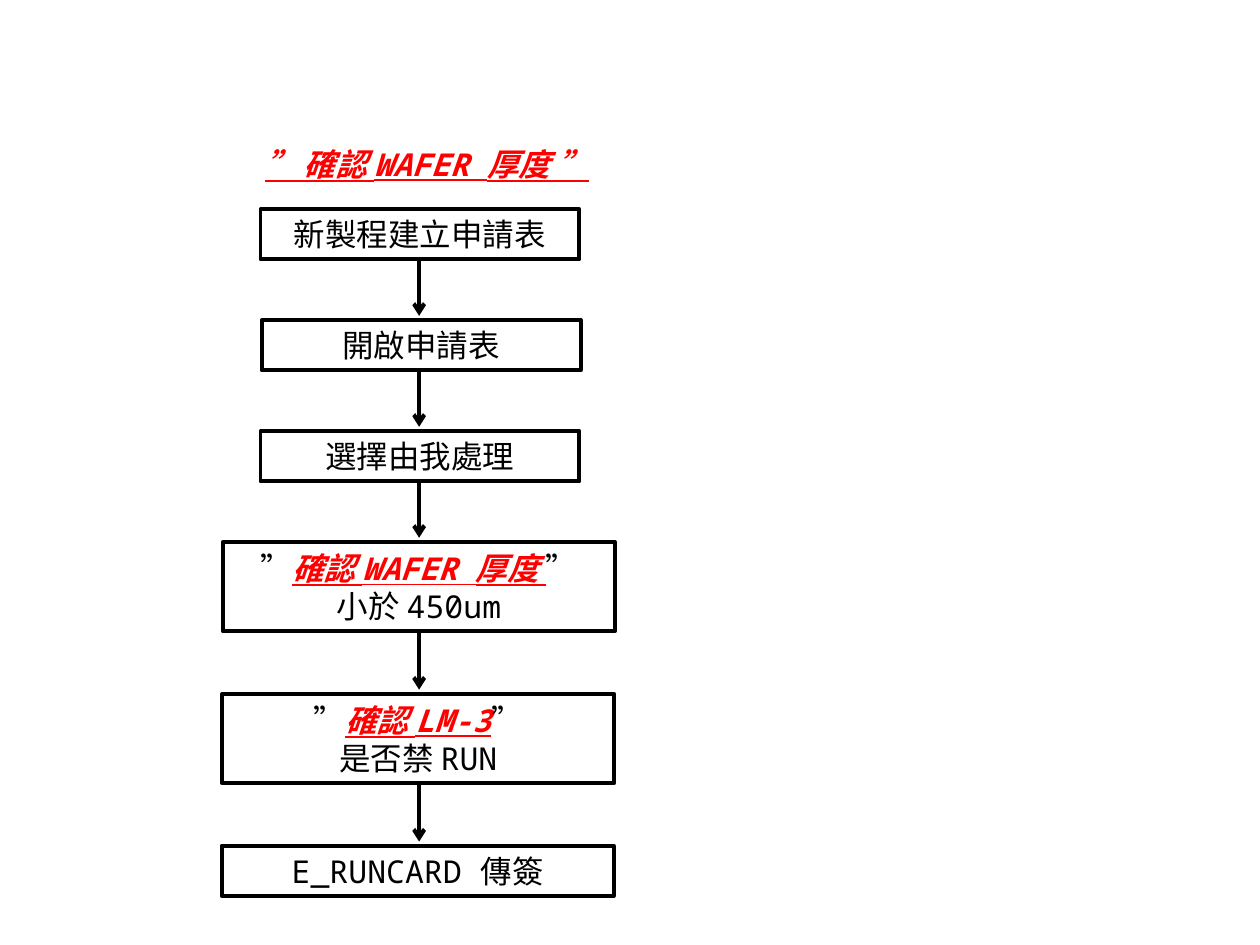
"""Build a flowchart slide for checking wafer thickness in a new process request."""
import lxml.etree
import pptx
import pptx.dml.color
import pptx.enum.shapes
import pptx.enum.text
import pptx.oxml
import pptx.oxml.ns
import pptx.util

Pt = pptx.util.Pt

TITLE = "” 確認 WAFER 厚度 ”"
STEPS = [
    {"center": 240, "width": 182.2, "lines": [["新製程建立申請表"]]},
    {"center": 240.7, "width": 182.2, "lines": [["開啟申請表"]]},
    {"center": 240, "width": 182.2, "lines": [["選擇由我處理"]]},
    {"center": 239.4, "width": 224, "lines": [["”", "確認 WAFER 厚度 ", "”"], ["小於 450um"]]},
    {"center": 239, "width": 224, "lines": [["”", "確認 LM-3", "”"], ["是否禁 RUN"]]},
    {"center": 238.7, "width": 224, "lines": [["E_RUNCARD 傳簽"]]},
]
THEME = {
    "font": "Noto Sans Mono",
    "size": Pt(18),
    "line": Pt(2.25),
    "ink": pptx.dml.color.RGBColor(0, 0, 0),
    "accent": pptx.dml.color.RGBColor(255, 0, 0),
}
FIRST_TOP = 119.5
HEIGHTS = {1: 28.8, 2: 51.1}
PITCHES = {1: 63.4, 2: 86.8}
ARROW_CENTER, ARROW_START, ARROW_END = 239.5, 34.6, 2.4


def style_font(font, color, emphasis=False):
    font.name = THEME["font"]
    font.size = THEME["size"]
    font.color.rgb = color
    font.bold = font.italic = font.underline = emphasis


def add_title(slide):
    title = slide.shapes.title
    title.left, title.top, title.width, title.height = Pt(80.6), Pt(79.2), Pt(326.9), Pt(28.8)
    frame = title.text_frame
    frame.text = TITLE
    frame.word_wrap = True
    frame.auto_size = pptx.enum.text.MSO_AUTO_SIZE.SHAPE_TO_FIT_TEXT
    frame.vertical_anchor = pptx.enum.text.MSO_ANCHOR.TOP
    paragraph = frame.paragraphs[0]
    paragraph.alignment = pptx.enum.text.PP_ALIGN.CENTER
    style_font(paragraph.font, THEME["accent"], True)


def add_step(slide, step, top):
    shape = slide.shapes.add_shape(
        pptx.enum.shapes.MSO_SHAPE.RECTANGLE,
        Pt(step["center"] - step["width"] / 2), Pt(top),
        Pt(step["width"]), Pt(HEIGHTS[len(step["lines"])]),
    )
    shape.shadow.inherit = False
    shape.fill.background()
    shape.line.color.rgb = THEME["ink"]
    shape.line.width = THEME["line"]
    frame = shape.text_frame
    frame.word_wrap = True
    frame.auto_size = pptx.enum.text.MSO_AUTO_SIZE.SHAPE_TO_FIT_TEXT
    for index, texts in enumerate(step["lines"]):
        paragraph = frame.add_paragraph() if index else frame.paragraphs[0]
        paragraph.alignment = pptx.enum.text.PP_ALIGN.CENTER
        style_font(paragraph.font, THEME["ink"])
        for position, text in enumerate(texts):
            run = paragraph.add_run()
            run.text = text
            if position == 1:
                style_font(run.font, THEME["accent"], True)


def add_arrow(slide, next_top):
    arrow = slide.shapes.add_connector(
        pptx.enum.shapes.MSO_CONNECTOR.STRAIGHT,
        Pt(ARROW_CENTER), Pt(next_top - ARROW_START),
        Pt(ARROW_CENTER), Pt(next_top - ARROW_END),
    )
    arrow.line.color.rgb = THEME["ink"]
    arrow.line.width = THEME["line"]
    qualified = pptx.oxml.ns.qn
    properties = arrow.element.find(qualified("p:spPr"))
    outline = properties.find(qualified("a:ln"))
    lxml.etree.SubElement(outline, qualified("a:tailEnd"), type="arrow")
    lxml.etree.SubElement(properties, qualified("a:effectLst"))


def main():
    presentation = pptx.Presentation()
    presentation.slide_width, presentation.slide_height = Pt(720), Pt(540)
    slide = presentation.slides.add_slide(presentation.slide_layouts[5])
    add_title(slide)
    top = FIRST_TOP
    for index, step in enumerate(STEPS):
        if index:
            add_arrow(slide, top)
        add_step(slide, step, top)
        top += PITCHES[len(step["lines"])]
    presentation.save("out.pptx")


if __name__ == "__main__":
    main()
